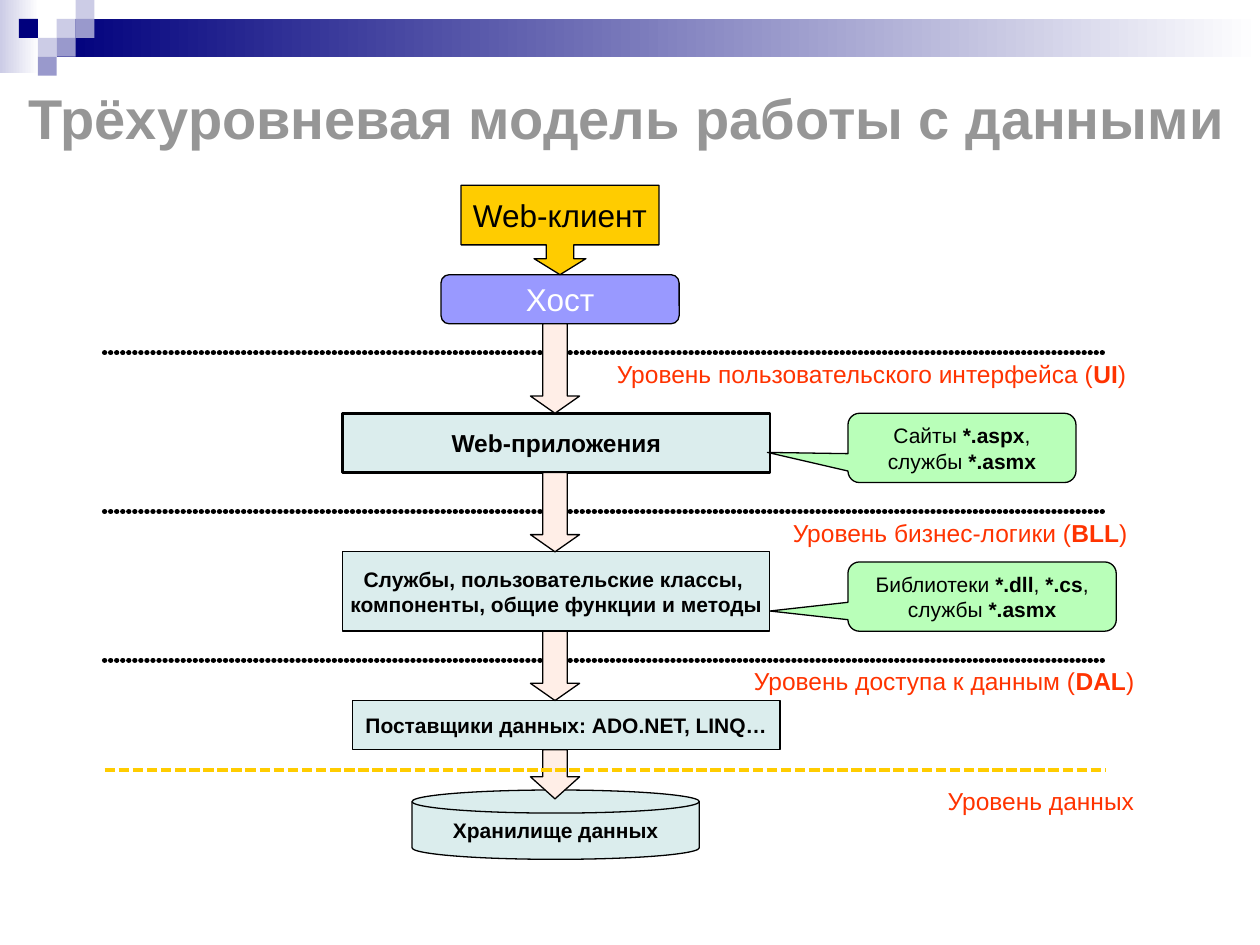
from lxml import etree
from pptx import Presentation
from pptx.dml.color import RGBColor
from pptx.enum.dml import MSO_LINE
from pptx.enum.shapes import MSO_CONNECTOR, MSO_SHAPE
from pptx.enum.text import MSO_ANCHOR, MSO_AUTO_SIZE, PP_ALIGN
from pptx.oxml.ns import qn
from pptx.util import Inches, Pt

RECTANGLE = MSO_SHAPE.RECTANGLE
ROUNDED_BOX = MSO_SHAPE.FLOWCHART_ALTERNATE_PROCESS
ARROW_BOX = MSO_SHAPE.DOWN_ARROW_CALLOUT
DISK = MSO_SHAPE.FLOWCHART_MAGNETIC_DISK
DOWN_ARROW = MSO_SHAPE.DOWN_ARROW
CALLOUT = MSO_SHAPE.ROUNDED_RECTANGULAR_CALLOUT
STRAIGHT = MSO_CONNECTOR.STRAIGHT
SQUARE_DOT = MSO_LINE.SQUARE_DOT
TOP, MIDDLE = MSO_ANCHOR.TOP, MSO_ANCHOR.MIDDLE
CENTER, RIGHT = PP_ALIGN.CENTER, PP_ALIGN.RIGHT
NO_AUTOFIT = MSO_AUTO_SIZE.NONE

FONT = "Arial"
COLORS = {
    "black": "000000", "white": "FFFFFF", "navy": "00007D",
    "lavender": "CCCCE6", "violet": "9999CC", "title": "969696",
    "server": "9999FF", "client": "FFCC00", "node": "DBEDED",
    "arrow": "FFEEE7", "note": "B9FFB9", "level": "FF3300",
}


def color(name):
    return RGBColor.from_string(COLORS[name])


def write_text(paragraph, text, size, font_color, bold=False, align=CENTER):
    paragraph.alignment = align
    paragraph.font.name = FONT
    paragraph.font.size = Pt(size)
    paragraph.font.color.rgb = color(font_color)
    paragraph.font.bold = bold
    if "|" not in text:
        paragraph.text = text
        return
    for index, part in enumerate(text.split("|")):
        run = paragraph.add_run()
        run.text = part
        run.font.bold = index % 2 == 1


def add_box(slide, kind, left, top, width, height, fill, line_width=0.75):
    shape = slide.shapes.add_shape(
        kind, Inches(left), Inches(top), Inches(width), Inches(height))
    shape.shadow.inherit = False
    if fill:
        shape.fill.solid()
        shape.fill.fore_color.rgb = color(fill)
    if line_width:
        shape.line.color.rgb = color("black")
        shape.line.width = Pt(line_width)
    else:
        shape.line.fill.background()
    return shape


def set_adjustments(shape, values):
    for index, value in enumerate(values):
        shape.adjustments[index] = value


def add_gradient_bar(slide, left, top, width, height, start):
    bar = add_box(slide, RECTANGLE, left, top, width, height, None, 0)
    bar.fill.gradient()
    bar.fill.gradient_angle = 0
    for stop, name in zip(bar.fill.gradient_stops, (start, "white")):
        stop.color.rgb = color(name)


def draw_banner(slide, left, top, width):
    cell = 0.15
    add_gradient_bar(slide, left, top, 0.31, 0.58, "lavender")
    add_gradient_bar(slide, left + 3 * cell, top + cell,
                     width - 3 * cell, 2 * cell, "navy")
    for column, row, fill in (
            (3, 1, "lavender"), (4, 0, "lavender"), (4, 1, "violet"),
            (2, 2, "lavender"), (1, 1, "navy"), (3, 2, "violet"),
            (2, 3, "violet")):
        add_box(slide, RECTANGLE, left + column * cell, top + row * cell,
                cell, cell, fill, 0)


def draw_title(slide, left, top, width, height):
    title = slide.shapes.title
    title.left, title.top = Inches(left), Inches(top)
    title.width, title.height = Inches(width), Inches(height)
    frame = title.text_frame
    frame.auto_size = NO_AUTOFIT
    frame.vertical_anchor = MIDDLE
    paragraph = frame.paragraphs[0]
    write_text(paragraph, "Трёхуровневая модель работы с данными",
               32, "title", True)
    paragraph.line_spacing = 0.7
    trailing = paragraph.add_run()
    trailing.text = " "
    trailing.font.size = Pt(44)


def add_divider(slide, left, top, width, line_color, line_width):
    line = slide.shapes.add_connector(
        STRAIGHT, Inches(left), Inches(top), Inches(left + width), Inches(top))
    line.line.color.rgb = color(line_color)
    line.line.width = Pt(line_width)
    etree.SubElement(line._element.spPr, qn("a:effectLst"))
    return line


def add_round_dots(line):
    outline = line.line._get_or_add_ln()
    outline.set("cap", "rnd")
    dashes = etree.SubElement(outline, qn("a:custDash"))
    etree.SubElement(dashes, qn("a:ds"), d="100000", sp="15000")


def draw_levels(slide, left, top, width):
    for offset, text, right, before in (
            (0, "Уровень пользовательского интерфейса (|UI|) ", 8.26, 11.2),
            (1.26, "Уровень бизнес-логики (|BLL|) ", 8.27, 8.8),
            (2.44, "Уровень доступа к данным (|DAL|)", 8.27, 8.8),
            (3.39, "Уровень данных", 8.27, 8.8)):
        if "|" in text:
            add_round_dots(add_divider(
                slide, left, top + offset, width, "black", 3))
        label = slide.shapes.add_textbox(
            Inches(left + right - 4.41), Inches(top + offset),
            Inches(4.41), Inches(0.34))
        label.text_frame.word_wrap = True
        paragraph = label.text_frame.paragraphs[0]
        write_text(paragraph, text, 14, "level", align=RIGHT)
        paragraph.space_before = Pt(before)


def draw_nodes(slide, left, top):
    for kind, x, y, width, height, fill, border, text, size, ink, bold in (
            (ROUNDED_BOX, 0.78, 0.71, 1.89, 0.39, "server", 0.75,
             "Хост", 18, "white", False),
            (ARROW_BOX, 0.94, 0, 1.57, 0.71, "client", 0.75,
             "Web-клиент", 18, "black", False),
            (RECTANGLE, 0, 1.81, 3.39, 0.47, "node", 1.5,
             "Web-приложения", 14, "black", True),
            (RECTANGLE, 0, 2.91, 3.39, 0.63, "node", 0.75,
             "Службы, пользовательские классы, \vкомпоненты, общие функции "
             "и методы", 12, "black", True),
            (RECTANGLE, 0.08, 4.09, 3.39, 0.39, "node", 0.75,
             "Поставщики данных: ADO.NET, LINQ…", 12, "black", True),
            (DISK, 0.55, 4.8, 2.28, 0.55, "node", 0.75,
             "Хранилище данных", 12, "black", True)):
        node = add_box(slide, kind, left + x, top + y, width, height,
                       fill, border)
        if kind == ARROW_BOX:
            set_adjustments(node, (0.306, 0.29, 0.179, 0.667))
        node.text_frame.word_wrap = False
        node.text_frame.vertical_anchor = MIDDLE
        write_text(node.text_frame.paragraphs[0], text, size, ink, bold)


def draw_arrows(slide, left, top):
    width, head = 0.39, 0.175
    for offset, height in ((0, 0.71), (1.18, 0.63), (2.44, 0.55), (3.38, 0.39)):
        arrow = add_box(slide, DOWN_ARROW, left, top + offset, width, height,
                        "arrow")
        set_adjustments(arrow, (0.5, head / width if height < 0.5 else 0.35))


def draw_notes(slide, left, top):
    for offset, width, pointer, text in (
            (0, 1.81, (-0.853, 0.065), "Сайты |*.aspx|, службы |*.asmx"),
            (1.18, 2.13, (-0.791, 0.208),
             "Библиотеки |*.dll|, |*.cs|, службы |*.asmx")):
        note = add_box(slide, CALLOUT, left, top + offset, width, 0.55, "note")
        set_adjustments(note, pointer + (0.167,))
        note.text_frame.word_wrap = True
        note.text_frame.vertical_anchor = TOP
        write_text(note.text_frame.paragraphs[0], text, 12, "black")


def main():
    presentation = Presentation()
    presentation.slide_width = Inches(10)
    presentation.slide_height = Inches(7.5)
    slide = presentation.slides.add_slide(presentation.slide_layouts[5])
    draw_banner(slide, 0, 0, 10)
    draw_title(slide, 0.12, 0.6, 9.88, 0.71)
    draw_levels(slide, 0.83, 2.8, 7.95)
    draw_nodes(slide, 2.72, 1.47)
    draw_arrows(slide, 4.21, 2.57)
    draw_notes(slide, 6.73, 3.28)
    data_divider = add_divider(slide, 0.83, 6.11, 7.95, "client", 2)
    data_divider.line.dash_style = SQUARE_DOT
    presentation.save("out.pptx")


if __name__ == "__main__":
    main()
